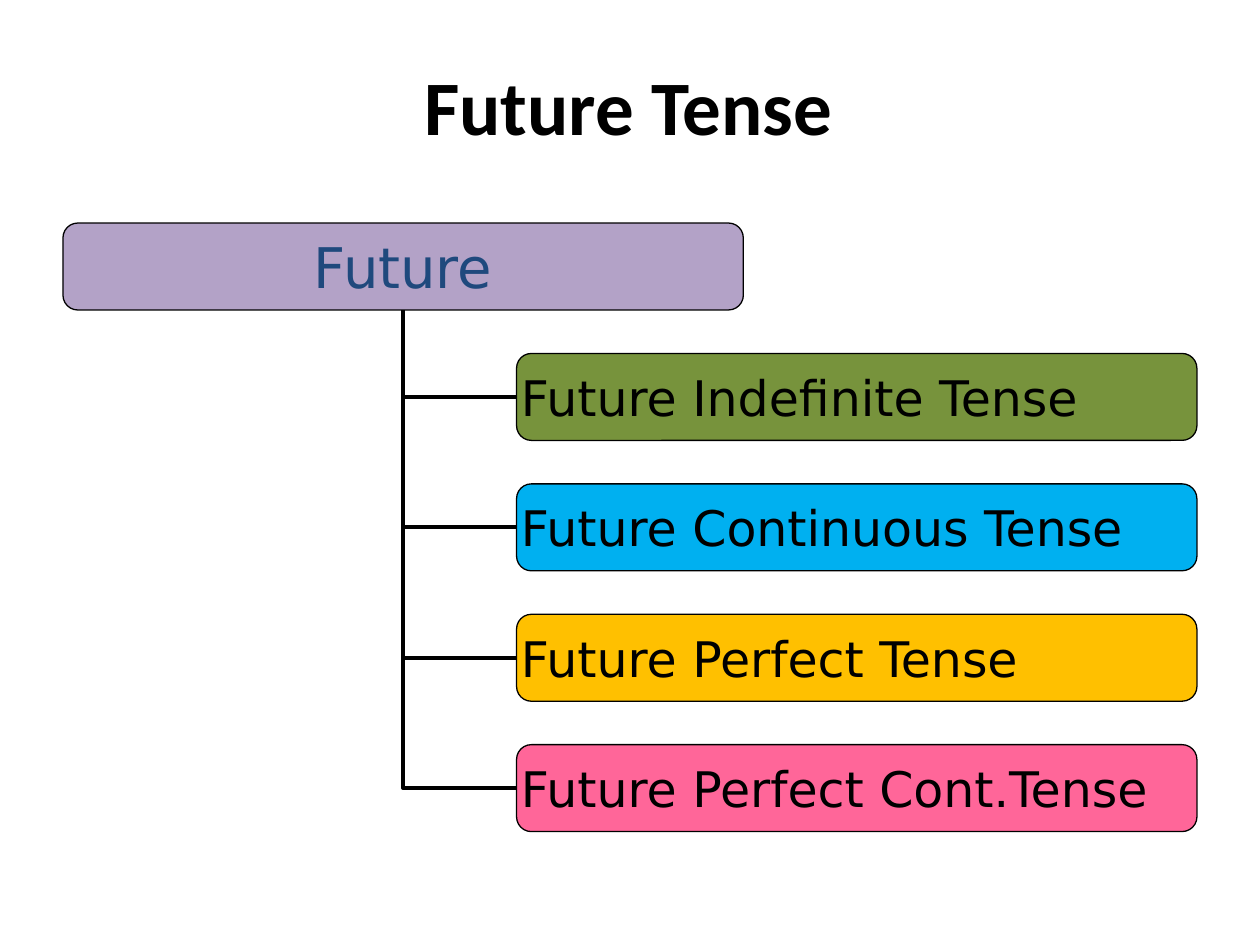
from pptx import Presentation
from pptx.dml.color import RGBColor
from pptx.enum.shapes import MSO_CONNECTOR, MSO_SHAPE
from pptx.enum.text import MSO_ANCHOR, PP_ALIGN
from pptx.oxml.ns import qn
from pptx.util import Inches, Pt
from lxml.etree import SubElement


def color(value):
    return RGBColor.from_string(value)


def write(shape, text, size, font_name, font_color, alignment):
    frame = shape.text_frame
    frame.word_wrap = True
    frame.vertical_anchor = MSO_ANCHOR.MIDDLE
    paragraph = frame.paragraphs[0]
    paragraph.text = text
    paragraph.alignment = alignment
    paragraph.font.size = Pt(size)
    paragraph.font.name = font_name
    paragraph.font.color.rgb = color(font_color)
    return paragraph


presentation = Presentation()
presentation.slide_width = Inches(10)
presentation.slide_height = Inches(7.5)
slide = presentation.slides.add_slide(presentation.slide_layouts[6])

title = slide.shapes.add_textbox(Inches(0.48), Inches(0.11), Inches(9.02), Inches(1.44))
paragraph = write(title, "Future Tense", 44, "Calibri", "000000", PP_ALIGN.CENTER)
paragraph.font.bold = True

box_width, box_height = 5.4, 0.69
root_left, root_top = 0.5, 1.77
child_left, row_pitch = 4.1, 1.035
trunk_x = root_left + box_width / 2
trunk_top = root_top + box_height

tenses = [
    ("Future Indefinite Tense", "77933C"),
    ("Future Continuous Tense", "00B0F0"),
    ("Future Perfect Tense", "FFC000"),
    ("Future Perfect Cont.Tense", "FF6699"),
]
boxes = [("Future", "B3A2C7", root_left, root_top, 32, "1F497D", PP_ALIGN.CENTER)]
for row, (text, fill) in enumerate(tenses, start=1):
    top = root_top + row * row_pitch
    boxes.append((text, fill, child_left, top, 28, "000000", PP_ALIGN.LEFT))

for box in reversed(boxes[1:]):
    middle = box[3] + box_height / 2
    connector = slide.shapes.add_connector(
        MSO_CONNECTOR.ELBOW,
        Inches(trunk_x), Inches(trunk_top), Inches(child_left), Inches(middle),
    )
    connector.line.color.rgb = color("000000")
    connector.line.width = Pt(2.25)
    properties = connector._element.spPr
    properties.find(qn("a:xfrm")).set("rot", "10800000")
    properties.find(qn("a:prstGeom")).set("prst", "bentConnector2")
    SubElement(properties, qn("a:effectLst"))

for text, fill, left, top, size, font_color, alignment in boxes:
    shape = slide.shapes.add_shape(
        MSO_SHAPE.ROUNDED_RECTANGLE,
        Inches(left), Inches(top), Inches(box_width), Inches(box_height),
    )
    shape.shadow.inherit = False
    shape.adjustments[0] = 0.17
    shape.fill.solid()
    shape.fill.fore_color.rgb = color(fill)
    shape.line.color.rgb = color("000000")
    shape.line.width = Pt(0.75)
    frame = shape.text_frame
    frame.margin_left = frame.margin_right = Inches(0)
    frame.margin_top = frame.margin_bottom = Inches(0)
    write(shape, text, size, "DejaVu Sans", font_color, alignment)

presentation.save("out.pptx")
